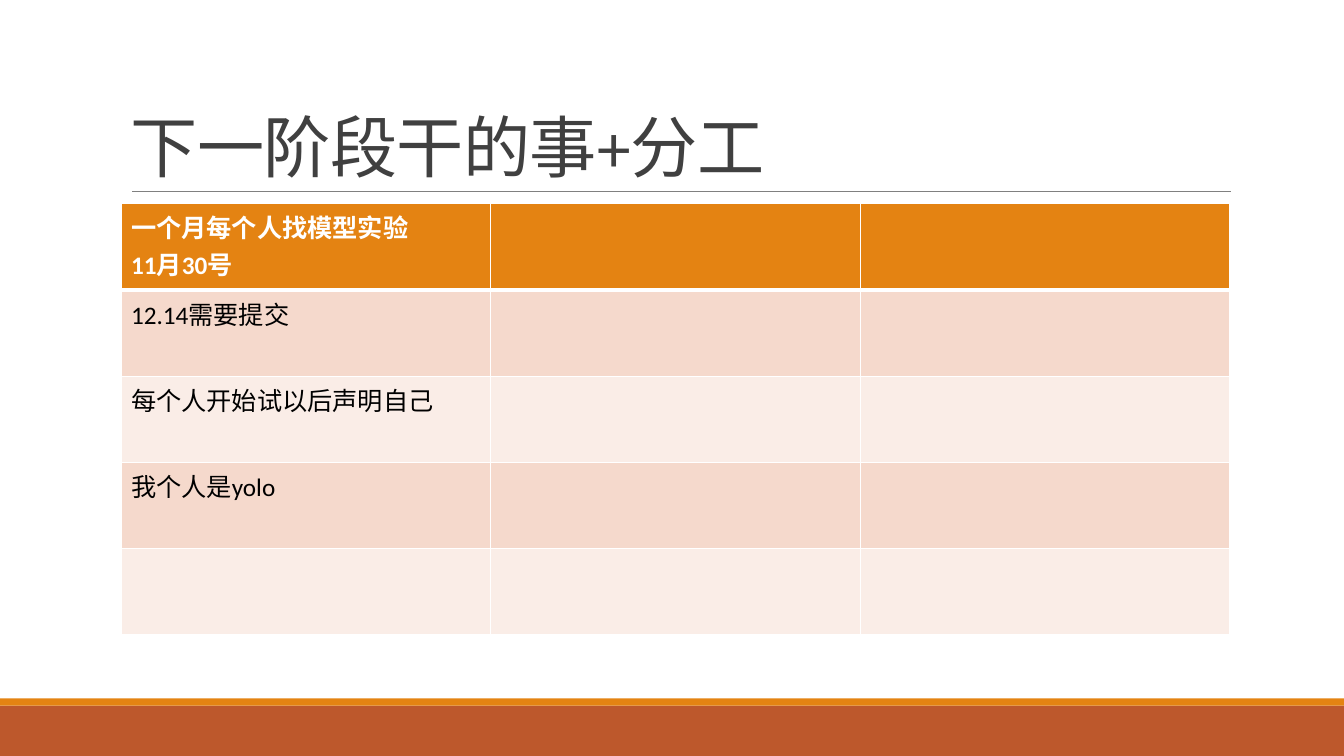
from lxml.etree import SubElement
from pptx import Presentation
from pptx.dml.color import RGBColor
from pptx.enum.shapes import MSO_CONNECTOR as Connector, MSO_SHAPE as Shape
from pptx.enum.text import MSO_ANCHOR as Anchor
from pptx.oxml.ns import qn
from pptx.util import Inches, Pt

# Content
TITLE = "下一阶段干的事+分工"
ROWS = [
    ["一个月每个人找模型实验\n11月30号", "", ""],
    ["12.14需要提交", "", ""],
    ["每个人开始试以后声明自己", "", ""],
    ["我个人是yolo", "", ""],
    ["", "", ""],
]
COLORS = {
    "orange": "E48312", "rust": "BD582C", "rule": "808080", "title": "404040",
    "white": "FFFFFF", "black": "000000", "dark band": "F5D9CC", "light band": "FAEDE7",
}
FOOTER_BARS = [("rust", 7, 0.5), ("orange", 6.93, 0.07)]  # colour, top, height
WIDTH, HEIGHT = 13.33, 7.5
LEFT, CONTENT_WIDTH = 1.2, 11
TABLE_TOP, TABLE_HEIGHT = 2.02, 4.28
TITLE_FONT = {"name": "Calibri", "size": Pt(48), "bold": False}
CELL_FONT = {"name": "Calibri", "size": Pt(18)}


def rgb(name):
    return RGBColor.from_string(COLORS[name])


def format_font(font, values, color):
    for name, value in values.items():
        setattr(font, name, value)
    font.color.rgb = rgb(color)


def add_border(cell, side, points):
    line = SubElement(cell._tc.get_or_add_tcPr(), qn(f"a:ln{side}"), w=str(Pt(points)))
    fill = SubElement(line, qn("a:solidFill"))
    SubElement(fill, qn("a:srgbClr"), val=COLORS["white"])


presentation = Presentation()
presentation.slide_width, presentation.slide_height = Inches(WIDTH), Inches(HEIGHT)
slide = presentation.slides.add_slide(presentation.slide_layouts[6])

# Footer bars
for color, top, height in FOOTER_BARS:
    bar = slide.shapes.add_shape(Shape.RECTANGLE, 0, Inches(top), Inches(WIDTH), Inches(height))
    bar.shadow.inherit = False
    bar.fill.solid()
    bar.fill.fore_color.rgb = rgb(color)
    bar.line.fill.background()

# Rule under the title
rule = slide.shapes.add_connector(
    Connector.STRAIGHT, Inches(1.31), Inches(1.9), Inches(12.21), Inches(1.9))
rule.line.color.rgb = rgb("rule")
rule.line.width = Pt(0.5)
SubElement(rule._element.spPr, qn("a:effectLst"))

# Title
title = slide.shapes.add_textbox(Inches(LEFT), Inches(0.31), Inches(CONTENT_WIDTH), Inches(1.59))
frame = title.text_frame
frame.word_wrap = True
frame.vertical_anchor = Anchor.BOTTOM
paragraph = frame.paragraphs[0]
paragraph.line_spacing = 0.85
run = paragraph.add_run()
run.text = TITLE
format_font(run.font, TITLE_FONT, "title")
run.font._element.set("spc", "-50")

# Table
table = slide.shapes.add_table(
    len(ROWS), len(ROWS[0]), Inches(LEFT), Inches(TABLE_TOP),
    Inches(CONTENT_WIDTH), Inches(TABLE_HEIGHT)).table
for row_index, texts in enumerate(ROWS):
    header = row_index == 0
    band = "orange" if header else ("light band", "dark band")[row_index % 2]
    borders = {"L": 1, "R": 1, "T": 3 if row_index == 1 else 1, "B": 3 if header else 1}
    for column_index, text in enumerate(texts):
        cell = table.cell(row_index, column_index)
        cell.text = text
        for paragraph in cell.text_frame.paragraphs:
            format_font(paragraph.font, CELL_FONT, "white" if header else "black")
            for run in paragraph.runs:
                format_font(run.font, {**CELL_FONT, "bold": header},
                            "white" if header else "black")
        for side, points in borders.items():
            add_border(cell, side, points)
        cell.fill.solid()
        cell.fill.fore_color.rgb = rgb(band)

presentation.save("out.pptx")
